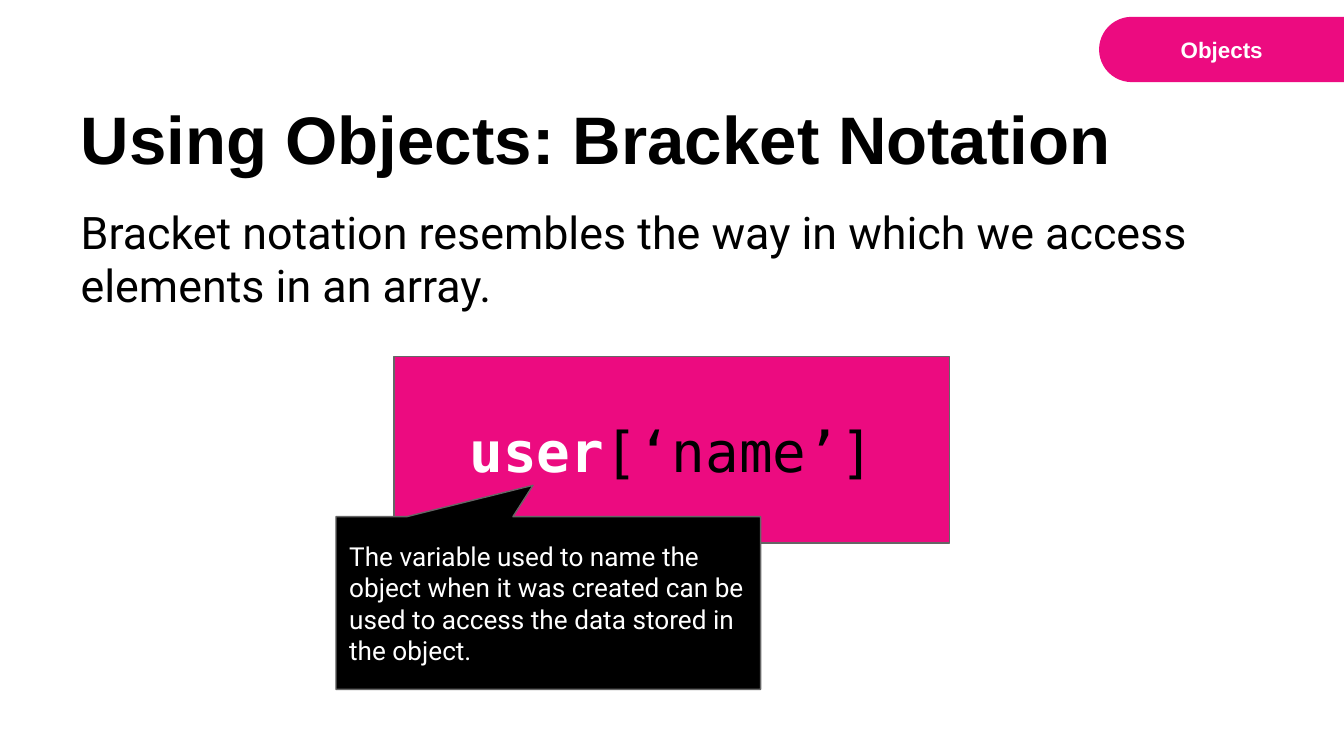
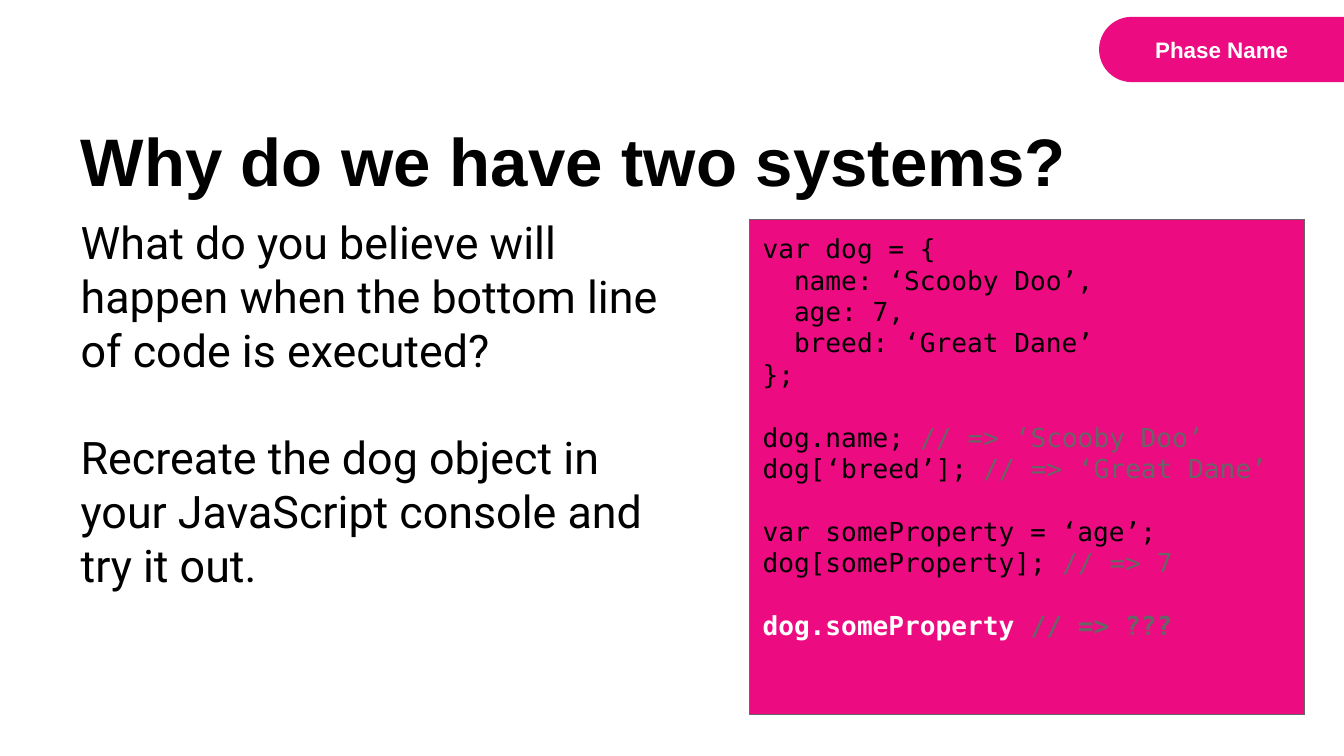
from dataclasses import dataclass

from lxml.etree import SubElement
from pptx import Presentation
from pptx.dml.color import RGBColor
from pptx.enum.shapes import MSO_SHAPE as Shape
from pptx.enum.text import MSO_ANCHOR as Anchor, MSO_AUTO_SIZE as AutoSize, PP_ALIGN as Align
from pptx.oxml.ns import qn
from pptx.util import Pt


@dataclass(frozen=True)
class Theme:
    pink: RGBColor = RGBColor(0xEC, 0x0B, 0x80)
    black: RGBColor = RGBColor(0, 0, 0)
    white: RGBColor = RGBColor(255, 255, 255)
    gray: RGBColor = RGBColor(0x66, 0x66, 0x66)
    heading: str = "Arial"
    text: str = "Roboto"
    mono: str = "DejaVu Sans Mono"
    title_size: int = 36
    code_size: int = 30
    body_size: int = 24
    small_size: int = 14
    badge_size: int = 12


theme = Theme()


def text_style(name, size, color=theme.black, bold=False):
    return {"name": name, "size": Pt(size), "bold": bold, "color": color}


def write(shape, paragraphs, anchor=Anchor.TOP, align=Align.LEFT, gap=0, fit=AutoSize.NONE):
    """Fill a shape with paragraphs of (text, style) runs; None asks for a gap."""
    frame = shape.text_frame
    frame_format = {"word_wrap": True, "auto_size": fit, "vertical_anchor": anchor}
    for side in ("left", "top", "right", "bottom"):
        frame_format[f"margin_{side}"] = Pt(7.2)
    for key, value in frame_format.items():
        setattr(frame, key, value)

    paragraph, space = frame.paragraphs[0], 0
    for index, runs in enumerate(paragraphs):
        if runs is None:
            space = gap
            continue
        if index:
            paragraph = frame.add_paragraph()
        if shape.is_placeholder:
            properties = paragraph._p.get_or_add_pPr()
            properties.set("marL", "0")
            properties.set("indent", "0")
            SubElement(properties, qn("a:buNone"))
        paragraph.alignment = align
        paragraph.space_before = Pt(space)
        space = 0
        for text, style in runs:
            run = paragraph.add_run()
            run.text = text
            for key, value in style.items():
                if key == "color":
                    run.font.color.rgb = value
                else:
                    setattr(run.font, key, value)


# Text styles
title_style = text_style(theme.heading, theme.title_size, bold=True)
body_style = text_style(theme.text, theme.body_size)
badge_style = text_style(theme.heading, theme.badge_size, theme.white, True)
note_style = text_style(theme.text, theme.small_size, theme.white)
code = text_style(theme.mono, theme.small_size)
remark = text_style(theme.mono, theme.small_size, theme.gray)
strong = text_style(theme.mono, theme.small_size, theme.white, True)
big_code = text_style(theme.mono, theme.code_size)
big_strong = text_style(theme.mono, theme.code_size, theme.white, True)

# Content: boxes are left, top, width, height in points
slides = [
    {
        "badge": "Objects",
        "title": ("Using Objects: Bracket Notation", 34.6),
        "body": [[("Bracket notation resembles the way in which we access "
                   "elements in an array.", body_style)]],
        "body_box": (36, 102.2, 648, 293),
        "panels": [
            {
                "kind": Shape.RECTANGLE, "box": (211, 191, 297.6, 100), "fill": theme.pink,
                "text": [[("user", big_strong), ("[‘name’]", big_code)]],
                "layout": {"anchor": Anchor.MIDDLE, "align": Align.CENTER},
            },
            {
                "kind": Shape.ROUNDED_RECTANGULAR_CALLOUT, "box": (180, 276.8, 227.5, 92.5),
                "fill": theme.black, "adjustments": (-0.036, -0.682, 0),
                "text": [[("The variable used to name the object when it was created can be "
                           "used to access the data stored in the object.", note_style)]],
                "layout": {"anchor": Anchor.MIDDLE},
            },
        ],
    },
    {
        "badge": "Phase Name",
        "title": ("Why do we have two systems?", 46.8),
        "body": [
            [("What do you believe will happen when the bottom line of code is executed?",
              body_style)],
            None,
            [("Recreate the dog object in your JavaScript console and try it out.", body_style)],
        ],
        "body_box": (36, 108, 332, 293),
        "panels": [
            {
                "kind": Shape.RECTANGLE, "box": (401.4, 117.5, 297.6, 265.5), "fill": theme.pink,
                "text": [
                    [("var dog = {", code)],
                    [("  name: ‘Scooby Doo’,", code)],
                    [("  age: 7,", code)],
                    [("  breed: ‘Great Dane’", code)],
                    [("};", code)],
                    None,
                    [("dog.name; ", code), ("// => ‘Scooby Doo’", remark)],
                    [("dog[‘breed’]; ", code), ("// => ‘Great Dane’", remark)],
                    None,
                    [("var someProperty = ‘age’;", code)],
                    [("dog[someProperty]; ", code), ("// => 7", remark)],
                    None,
                    [("dog.someProperty", strong), (" // => ???", {**remark, "bold": True})],
                ],
                "layout": {"gap": 16.8},
            },
        ],
    },
]

presentation = Presentation()
presentation.slide_width, presentation.slide_height = Pt(720), Pt(405)

for content in slides:
    slide = presentation.slides.add_slide(presentation.slide_layouts[1])
    title, body = slide.placeholders

    # Badge in the top right corner
    tab = slide.shapes.add_shape(Shape.ROUND_2_SAME_RECTANGLE,
                                 Pt(637.2), Pt(-39.4), Pt(35), Pt(131.8))
    tab.rotation = 270
    tab.adjustments[0], tab.adjustments[1] = 0.5, 0
    tab.shadow.inherit = False
    tab.fill.solid()
    tab.fill.fore_color.rgb = theme.pink
    tab.line.fill.background()
    label = slide.shapes.add_textbox(Pt(592.6), Pt(12.2), Pt(123.8), Pt(28.8))
    write(label, [[(content["badge"], badge_style)]], align=Align.CENTER,
          fit=AutoSize.SHAPE_TO_FIT_TEXT)

    # Title and body
    title_text, title_top = content["title"]
    boxes = ((title, (36, title_top, 648, 67.7)), (body, content["body_box"]))
    for placeholder, box in boxes:
        for key, value in zip(("left", "top", "width", "height"), box):
            setattr(placeholder, key, Pt(value))
    write(title, [[(title_text, title_style)]], anchor=Anchor.BOTTOM)
    write(body, content["body"], gap=28.8)

    # Code panels and callouts
    for panel in content["panels"]:
        shape = slide.shapes.add_shape(panel["kind"], *map(Pt, panel["box"]))
        for index, value in enumerate(panel.get("adjustments", ())):
            shape.adjustments[index] = value
        shape.shadow.inherit = False
        shape.fill.solid()
        shape.fill.fore_color.rgb = panel["fill"]
        shape.line.color.rgb = theme.gray
        shape.line.width = Pt(0.75)
        write(shape, panel["text"], **panel["layout"])

presentation.save("out.pptx")
